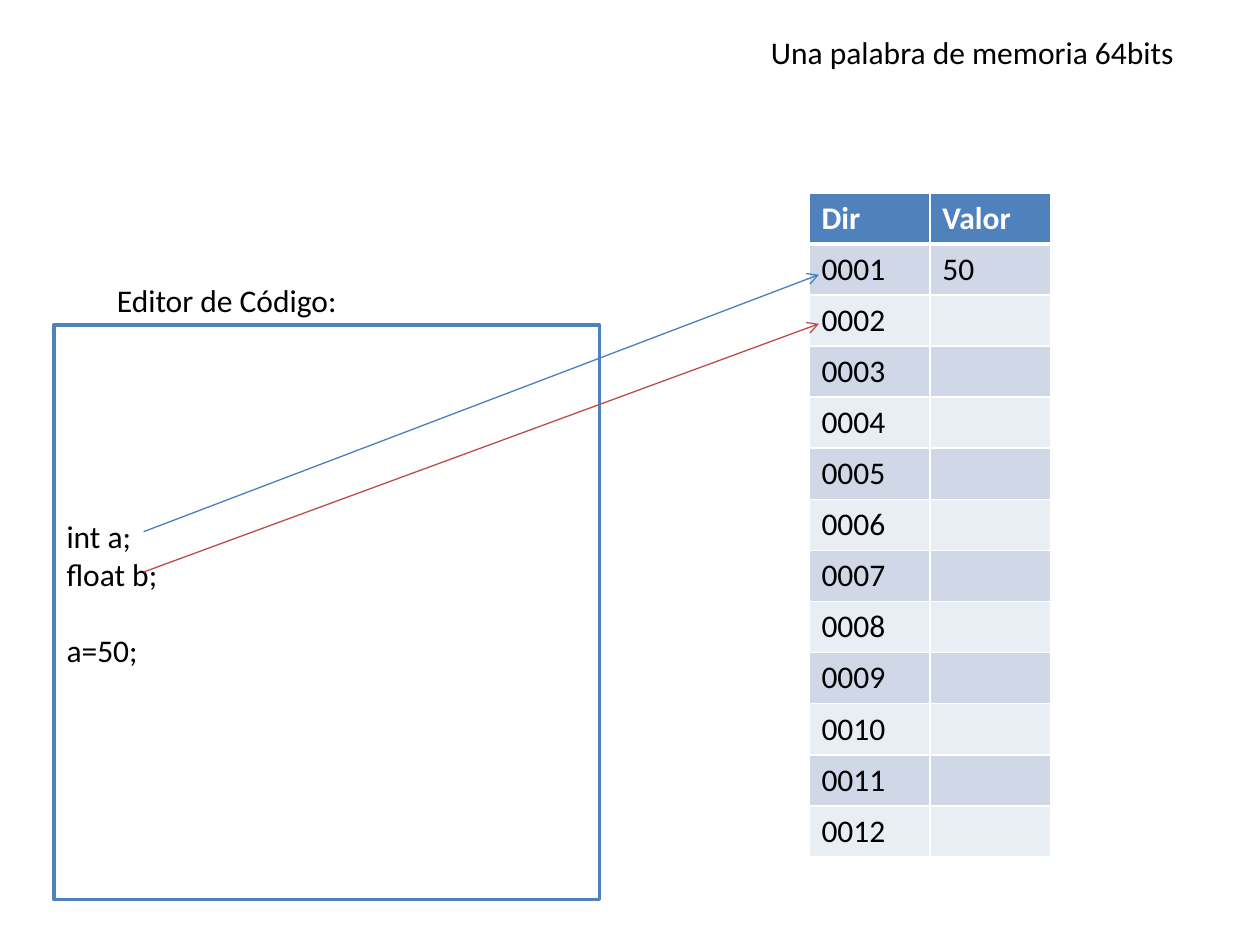
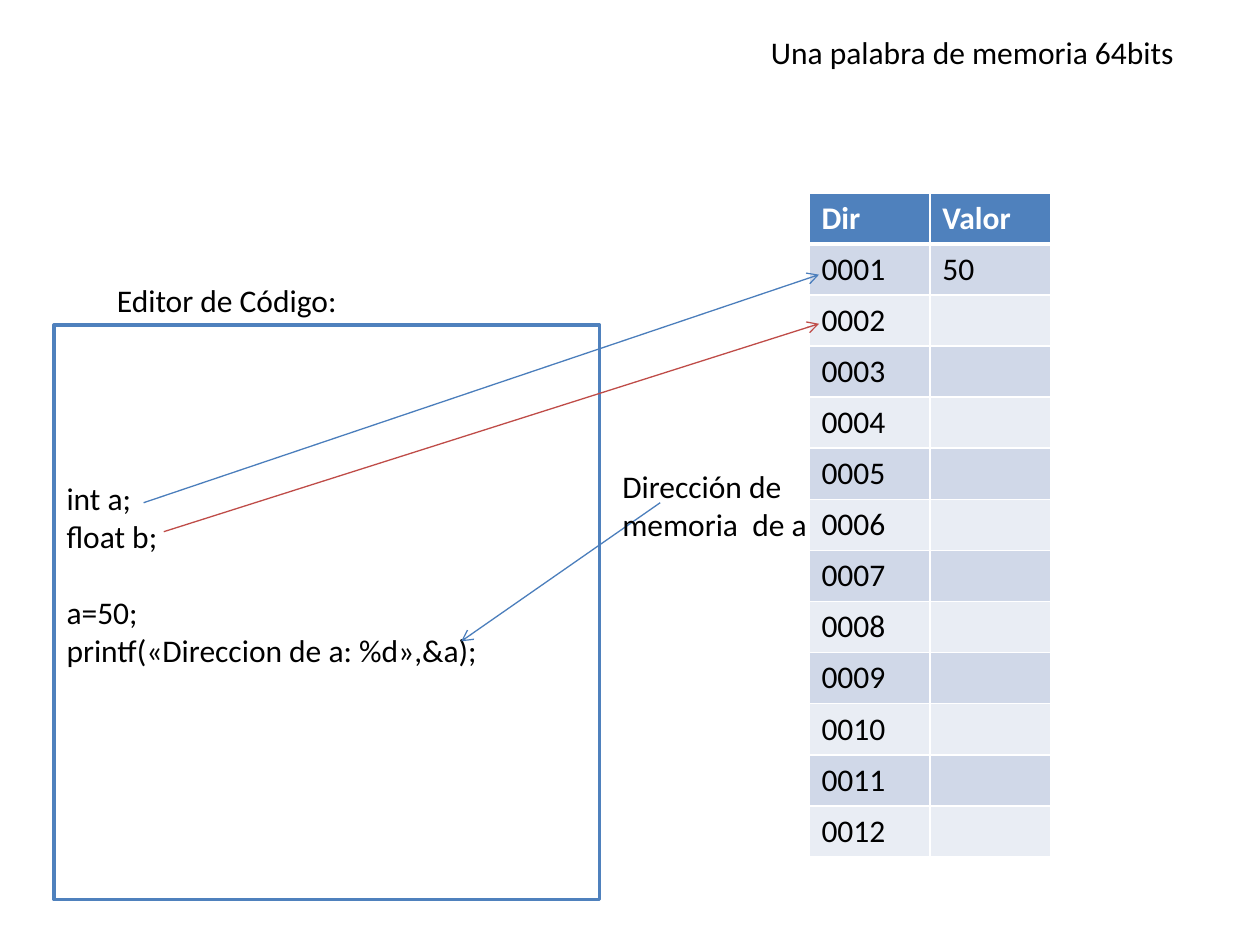
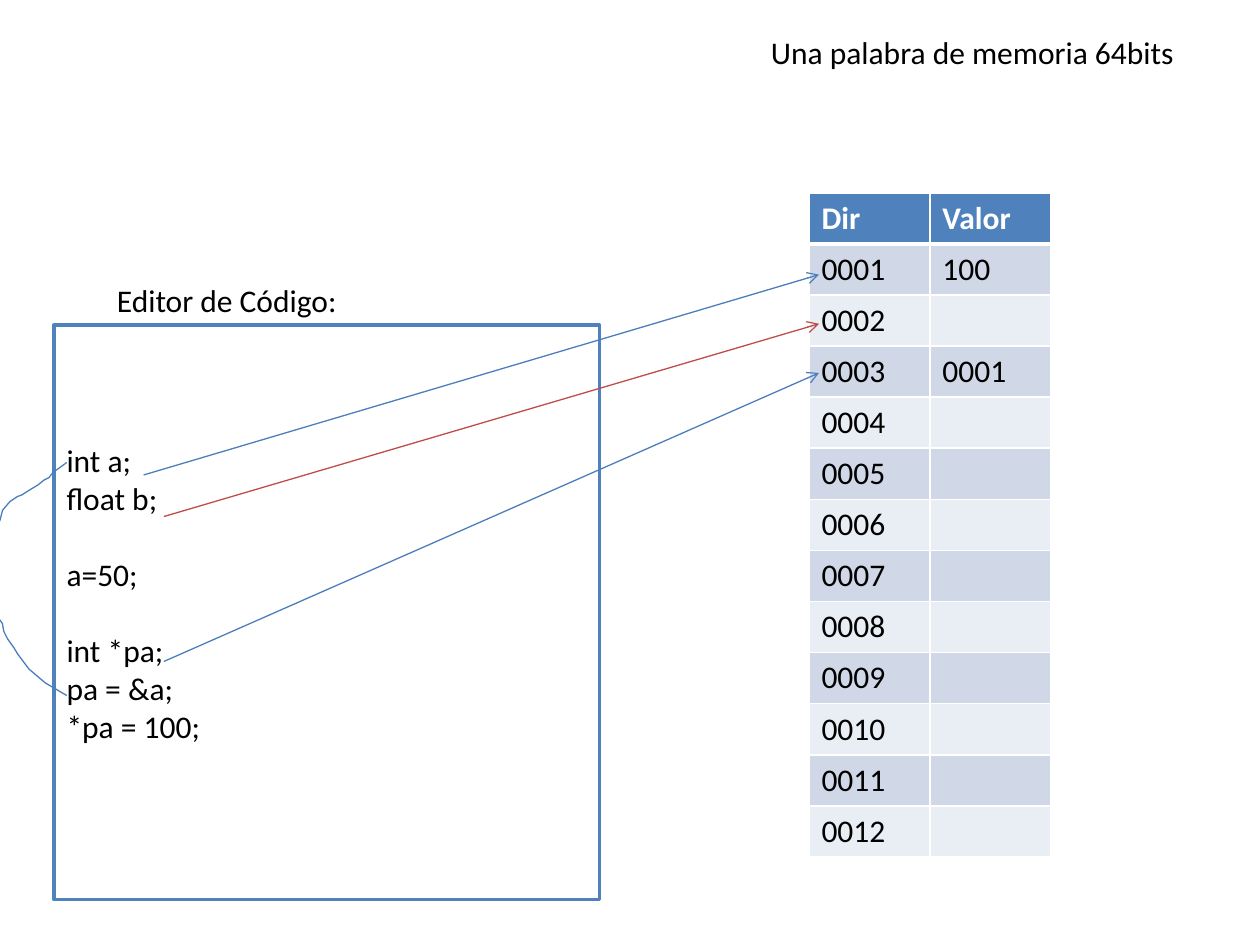
from pptx import Presentation
from pptx.dml.color import RGBColor
from pptx.enum.shapes import MSO_CONNECTOR as Connector, MSO_SHAPE as Shape
from pptx.enum.text import MSO_ANCHOR as Anchor, MSO_AUTO_SIZE as AutoSize, PP_ALIGN as Align
from pptx.oxml import parse_xml
from pptx.oxml.ns import nsdecls
from pptx.util import Inches, Pt

# Shared style
WHITE = RGBColor(0xFF, 0xFF, 0xFF)
BLACK = RGBColor(0x00, 0x00, 0x00)
BLUE = RGBColor(0x4F, 0x81, 0xBD)
LINE_BLUE = RGBColor(0x4B, 0x7E, 0xBC)
LINE_RED = RGBColor(0xBF, 0x4C, 0x48)
BAND_DARK = RGBColor(0xD0, 0xD8, 0xE8)
BAND_LIGHT = RGBColor(0xE9, 0xED, 0xF4)
FONT = "Calibri"
SIZE = Pt(18)
LINE_HEIGHT = Pt(22)

# Memory table
ADDRESSES = [f"{number:04d}" for number in range(1, 13)]
TABLE_LEFT, TABLE_TOP, TABLE_WIDTH, TABLE_HEIGHT = 6.42, 1.53, 1.92, 5.27


class MemoryDeck:
    def __init__(self):
        self.deck = Presentation()
        self.deck.slide_width, self.deck.slide_height = Inches(10), Inches(7.5)
        self.page = None

    def add_span(self, para, text, color=BLACK, bold=False):
        span = para.add_run()
        span.text = text
        span.font.name, span.font.size, span.font.bold = FONT, SIZE, bold
        span.font.color.rgb = color

    def label(self, left, top, width, height, *lines):
        box = self.page.shapes.add_textbox(
            Inches(left), Inches(top), Inches(width), Inches(height))
        frame = box.text_frame
        frame.word_wrap = False
        frame.auto_size = AutoSize.SHAPE_TO_FIT_TEXT
        for index, line in enumerate(lines):
            para = frame.add_paragraph() if index else frame.paragraphs[0]
            self.add_span(para, line)

    def editor(self, groups, free_lines):
        """Code in groups one line apart, with free lines kept below it."""
        box = self.page.shapes.add_shape(
            Shape.RECTANGLE, Inches(0.43), Inches(2.58), Inches(4.33), Inches(4.56))
        box.shadow.inherit = False
        box.fill.solid()
        box.fill.fore_color.rgb = WHITE
        box.line.color.rgb = BLUE
        box.line.width = Pt(2)
        frame = box.text_frame
        frame.word_wrap = True
        frame.vertical_anchor = Anchor.MIDDLE
        frame.margin_bottom = Inches(0.05) + free_lines * LINE_HEIGHT
        para = frame.paragraphs[0]
        for group_index, group in enumerate(groups):
            for line_index, line in enumerate(group):
                if group_index or line_index:
                    para = frame.add_paragraph()
                para.alignment = Align.LEFT
                if group_index and not line_index:
                    para.space_before = LINE_HEIGHT
                self.add_span(para, line)

    def arrow(self, start, end, color=LINE_BLUE):
        line = self.page.shapes.add_connector(
            Connector.STRAIGHT, *(Inches(value) for value in (*start, *end)))
        line.line.color.rgb = color
        line.line.width = Pt(0.75)
        properties = line._element.spPr
        properties.ln.append(parse_xml(f'<a:tailEnd {nsdecls("a")} type="arrow"/>'))
        properties.append(parse_xml(f'<a:effectLst {nsdecls("a")}/>'))

    def variable_arrow(self, left, top, row, color=LINE_BLUE):
        self.arrow((left, top), (6.5, 2.18 + 0.39 * row), color)

    def curve(self, points):
        points = [(Inches(x), Inches(y)) for x, y in points]
        builder = self.page.shapes.build_freeform(*points[0])
        builder.add_line_segments(points[1:], close=False)
        stroke = builder.convert_to_shape()
        stroke.shadow.inherit = False
        stroke.fill.background()
        stroke.line.color.rgb = LINE_BLUE
        stroke.line.width = Pt(0.75)

    def cell(self, cell, text, fill, color, bold, top, bottom):
        for side, width in (("L", 1), ("R", 1), ("T", top), ("B", bottom)):
            cell._tc.get_or_add_tcPr().append(parse_xml(
                f'<a:ln{side} {nsdecls("a")} w="{int(Pt(width))}"><a:solidFill>'
                f'<a:srgbClr val="{WHITE}"/></a:solidFill></a:ln{side}>'))
        cell.fill.solid()
        cell.fill.fore_color.rgb = fill
        para = cell.text_frame.paragraphs[0]
        if text:
            self.add_span(para, text, color, bold)
        else:
            para.font.size = SIZE

    def memory(self, values):
        rows = [("Dir", "Valor")] + [(name, values.get(name, "")) for name in ADDRESSES]
        table = self.page.shapes.add_table(
            len(rows), 2, Inches(TABLE_LEFT), Inches(TABLE_TOP),
            Inches(TABLE_WIDTH), Inches(TABLE_HEIGHT)).table
        for index, row in enumerate(rows):
            header = index == 0
            fill = BLUE if header else BAND_DARK if index % 2 else BAND_LIGHT
            for column, text in enumerate(row):
                self.cell(table.cell(index, column), text, fill,
                          WHITE if header else BLACK, header,
                          top=3 if index == 1 else 1, bottom=3 if header else 1)

    def new_page(self, values, groups, free_lines):
        self.page = self.deck.slides.add_slide(self.deck.slide_layouts[6])
        self.memory(values)
        self.label(6.02, 0.21, 3.44, 0.4, "Una palabra de memoria 64bits")
        self.label(0.83, 2.18, 1.97, 0.4, "Editor de Código:")
        self.editor(groups, free_lines)


show = MemoryDeck()
DECLARATIONS = ["int a;", "float b;"]

# Slide 1: variables in memory
show.new_page({"0001": "50"}, [DECLARATIONS, ["a=50;"]], free_lines=1)
show.variable_arrow(1.14, 4.22, 0)
show.variable_arrow(1.14, 4.54, 1, LINE_RED)

# Slide 2: the address of a variable
show.new_page({"0001": "50"},
              [DECLARATIONS, ["a=50;", "printf(«Direccion de a: %d»,&a);"]], free_lines=2)
show.variable_arrow(1.14, 3.99, 0)
show.variable_arrow(1.3, 4.22, 1, LINE_RED)
show.arrow((5.24, 3.99), (3.66, 5.09))
show.label(4.84, 3.66, 1.69, 0.71, "Dirección de ", "memoria  de a")

# Slide 3: a pointer
show.new_page({"0001": "100", "0003": "0001"},
              [DECLARATIONS, ["a=50;"], ["int *pa;", "pa = &a;", "*pa = 100;"]], free_lines=1)
show.variable_arrow(1.14, 3.77, 0)
show.variable_arrow(1.3, 4.1, 1, LINE_RED)
show.variable_arrow(1.3, 5.25, 2)
show.curve([
    (0.53, 5.52), (0.36, 5.42), (0.23, 5.31), (0.17, 5.23), (0.14, 5.19), (0.11, 5.14),
    (0.06, 5.07), (0.03, 5.01), (0.02, 4.95), (-0.05, 4.85), (-0.08, 4.73), (-0.09, 4.67),
    (-0.09, 4.5), (-0.08, 4.33), (-0.05, 4.23), (-0.03, 4.18), (0, 4.13), (0.02, 4.05),
    (0.08, 3.98), (0.14, 3.94), (0.17, 3.93), (0.25, 3.88), (0.3, 3.85), (0.35, 3.81),
    (0.39, 3.79), (0.42, 3.75), (0.49, 3.7), (0.53, 3.67)])

show.deck.save("out.pptx")
